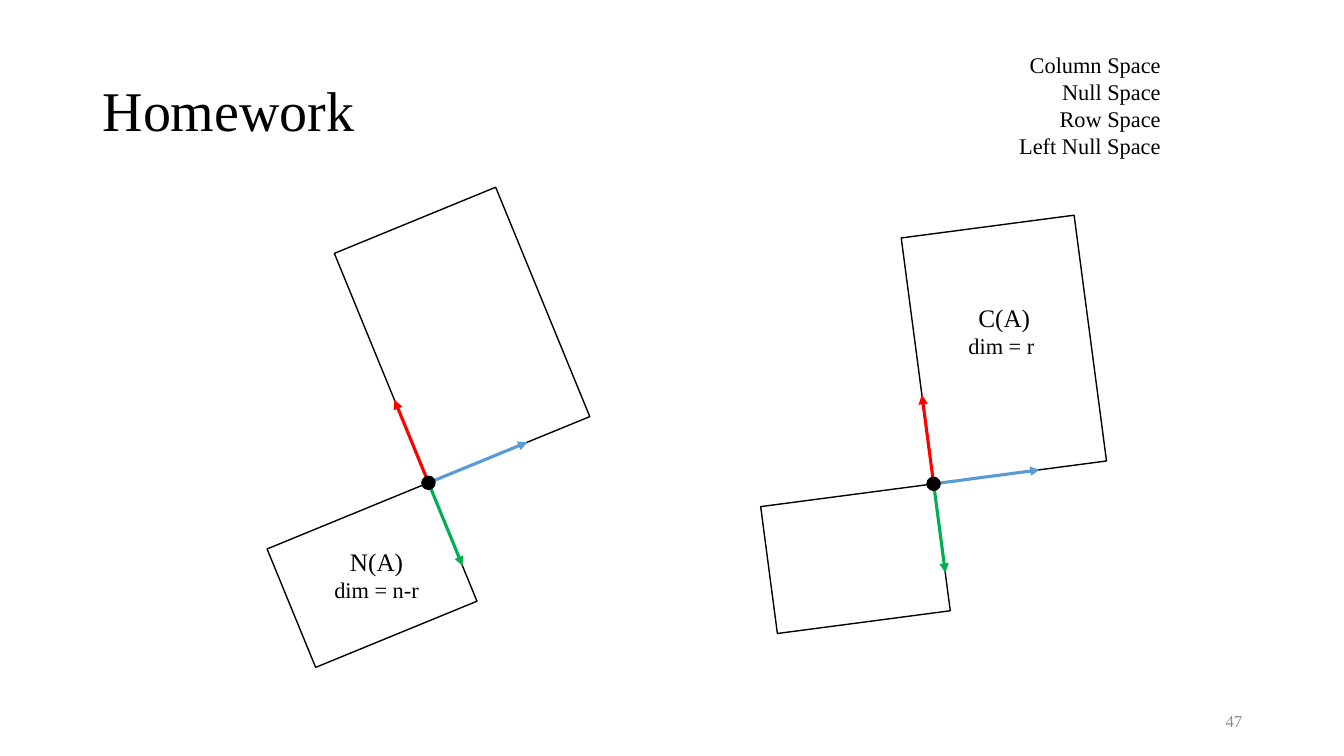
from math import cos, sin, radians
from lxml.etree import SubElement
from pptx import Presentation
from pptx.dml.color import RGBColor
from pptx.enum.shapes import MSO_CONNECTOR, MSO_SHAPE
from pptx.enum.text import MSO_ANCHOR, MSO_AUTO_SIZE, PP_ALIGN
from pptx.oxml.ns import qn
from pptx.util import Inches, Pt


def color(code):
    return RGBColor.from_string(code)


class Page:
    font = "Times New Roman"
    ink = "000000"
    paper = "FFFFFF"

    def __init__(self, deck):
        self.slide = deck.slides.add_slide(deck.slide_layouts[6])
        self.shapes = self.slide.shapes

    def text(self, box, lines, align=PP_ALIGN.LEFT, tint=ink, mid=False, wrap=True, lead=None):
        """Add a text box; lines holds (words, size) pairs."""
        item = self.shapes.add_textbox(*map(Inches, box))
        frame = item.text_frame
        frame.text = "\n".join(words for words, size in lines)
        frame.word_wrap = wrap
        frame.vertical_anchor = MSO_ANCHOR.MIDDLE if mid else MSO_ANCHOR.TOP
        frame.auto_size = MSO_AUTO_SIZE.NONE if mid else MSO_AUTO_SIZE.SHAPE_TO_FIT_TEXT
        for para, (words, size) in zip(frame.paragraphs, lines):
            para.alignment = align
            para.line_spacing = lead
            for run in para.runs:
                run.font.name = self.font
                run.font.size = Pt(size)
                run.font.color.rgb = color(tint)

    def shape(self, kind, mid, wide, high, fill, turn=0):
        """Add an outlined shape by its centre."""
        box = (mid[0] - wide / 2, mid[1] - high / 2, wide, high)
        item = self.shapes.add_shape(kind, *map(Inches, box))
        item.shadow.inherit = False
        item.fill.solid()
        item.fill.fore_color.rgb = color(fill)
        item.line.color.rgb = color(self.ink)
        item.line.width = Pt(1)
        item.rotation = turn

    def arrow(self, start, end, tint):
        item = self.shapes.add_connector(MSO_CONNECTOR.STRAIGHT, *map(Inches, (*start, *end)))
        item.line.color.rgb = color(tint)
        item.line.width = Pt(2.25)
        SubElement(item.line._get_or_add_ln(), qn("a:tailEnd"), type="triangle")
        SubElement(item._element.spPr, qn("a:effectLst"))

    def spaces(self, root, tilt, label, box):
        """Draw two tilted subspaces that meet at root, with their axes."""
        turn = radians(tilt)

        def point(along, up):
            return (root[0] + along * cos(turn) - up * sin(turn),
                    root[1] - along * sin(turn) - up * cos(turn))

        # Planes sharing a corner
        wide = 1.73
        for side, high in ((1, 2.46), (-1, 1.27)):
            self.shape(MSO_SHAPE.RECTANGLE, point(side * wide / 2, side * high / 2),
                       wide, high, self.paper, 360 - tilt)
        self.text(box, label, PP_ALIGN.CENTER, wrap=False)

        # Axes and origin
        for along, up, tint in ((1.06, 0, "5B9BD5"), (0, 0.89, "FF0000"), (0, -0.89, "00B050")):
            self.arrow(root, point(along, up), tint)
        self.shape(MSO_SHAPE.OVAL, root, 0.13, 0.13, self.ink)


def main():
    deck = Presentation()
    deck.slide_width = Inches(13.33)
    deck.slide_height = Inches(7.5)
    page = Page(deck)

    # Title, page number and list of spaces
    page.text((0.92, 0.4, 11.5, 1.45), [("Homework", 40)], mid=True, lead=0.9)
    page.text((9.42, 6.95, 3, 0.4), [("47", 12)], PP_ALIGN.RIGHT, "8C8C8C", mid=True)
    names = ("Column Space", "Null Space", "Row Space", "Left Null Space")
    page.text((9.89, 0.46, 1.72, 1.19), [(name, 16) for name in names], PP_ALIGN.RIGHT)

    # Input and output sides
    page.spaces((4.25, 4.79), 22.3, [("N(A)", 18), ("dim = n-r", 16)], (3.21, 5.37, 1.05, 0.67))
    page.spaces((9.26, 4.8), 7.5, [("C(A)", 18), ("dim = r ", 16)], (9.5, 2.95, 0.92, 0.67))

    deck.save("out.pptx")


if __name__ == "__main__":
    main()
